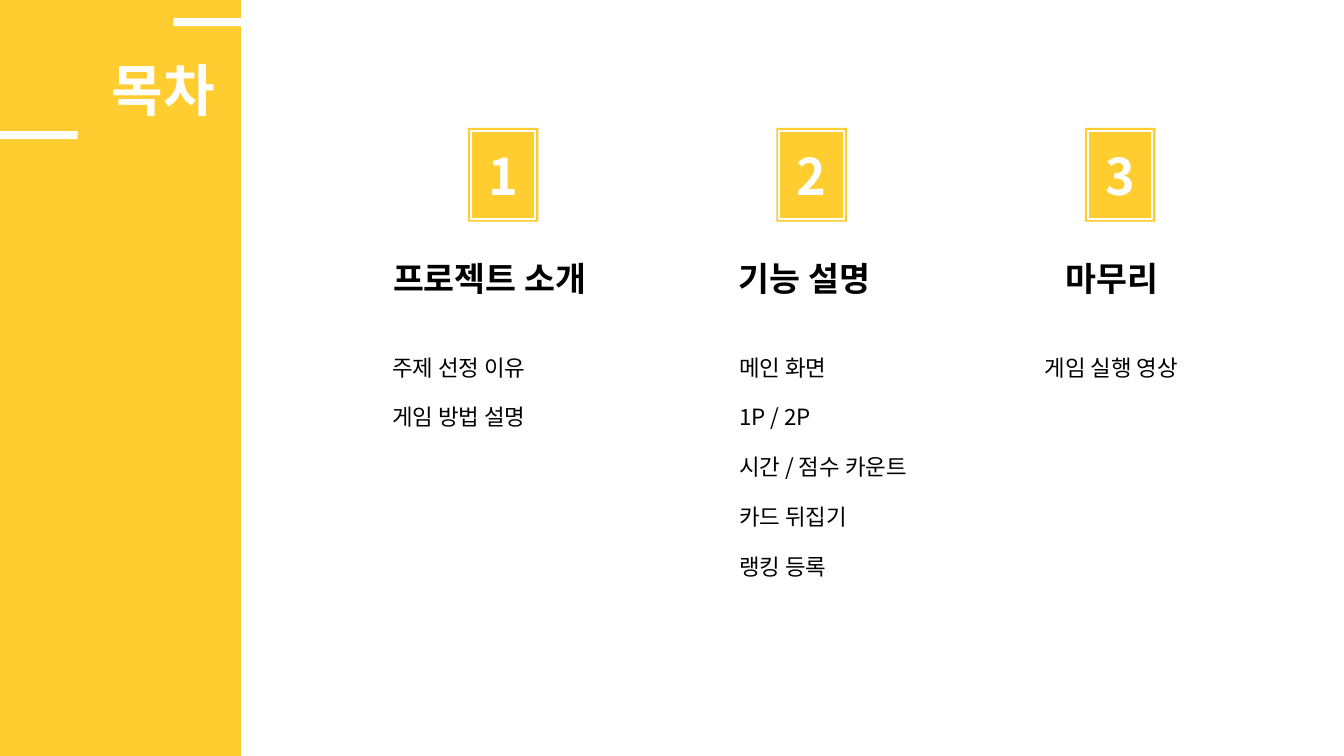
from lxml.etree import SubElement
from pptx import Presentation
from pptx.dml.color import RGBColor
from pptx.enum.shapes import MSO_SHAPE
from pptx.enum.text import MSO_ANCHOR, MSO_AUTO_SIZE, PP_ALIGN
from pptx.oxml.ns import qn
from pptx.util import Inches, Pt

YELLOW = RGBColor(0xFF, 0xCD, 0x2F)
WHITE = RGBColor(0xFF, 0xFF, 0xFF)
BLACK = RGBColor(0x00, 0x00, 0x00)
FONT = "Noto Sans CJK KR"

BADGE_LEFT, BADGE_STEP = 4.64, 3.06
SECTIONS = [
    ("프로젝트 소개", 3.8, 2.4, 3.79, 1.71, ["주제 선정 이유", "게임 방법 설명"]),
    ("기능 설명", 7.23, 1.69, 7.23, 2.1,
     ["메인 화면", "1P / 2P", "시간 / 점수 카운트", "카드 뒤집기", "랭킹 등록"]),
    ("마무리", 10.47, 1.3, 10.26, 1.71, ["게임 실행 영상"]),
]


def place(shape, left, top, width, height):
    shape.left, shape.top = Inches(left), Inches(top)
    shape.width, shape.height = Inches(width), Inches(height)


def style(paragraph, size, color, bold=False, align=PP_ALIGN.LEFT):
    paragraph.alignment = align
    font = paragraph.font
    font.size, font.bold, font.name = Pt(size), bold, FONT
    font.color.rgb = color
    SubElement(font._element, qn("a:ea"), typeface=FONT)


def add_block(slide, left, top, width, height, color):
    block = slide.shapes.add_shape(
        MSO_SHAPE.RECTANGLE, Inches(left), Inches(top), Inches(width), Inches(height))
    block.shadow.inherit = False
    block.fill.solid()
    block.fill.fore_color.rgb = color
    block.line.fill.background()
    return block


def add_badge(slide, left, number):
    add_block(slide, left, 1.27, 0.7, 0.93, YELLOW)
    frame = add_block(slide, left + 0.03, 1.3, 0.64, 0.87, YELLOW)
    frame.fill.background()
    frame.line.color.rgb = WHITE
    frame.line.width = Pt(1.5)
    text = frame.text_frame
    text.margin_left = text.margin_right = 0
    text.vertical_anchor = MSO_ANCHOR.MIDDLE
    text.text = str(number)
    style(text.paragraphs[0], 36, WHITE, True, PP_ALIGN.CENTER)


def add_heading(slide, heading, left, width):
    box = slide.shapes.add_textbox(Inches(left), Inches(2.51), Inches(width), Inches(0.5))
    box.text_frame.word_wrap = True
    box.text_frame.text = heading
    style(box.text_frame.paragraphs[0], 24, BLACK, True)


def fill_list(placeholder, items, left, width):
    place(placeholder, left, 3.46, width, 0.37 + 0.55 * (len(items) - 1))
    text = placeholder.text_frame
    text.auto_size = MSO_AUTO_SIZE.NONE
    text.word_wrap = False
    text.vertical_anchor = MSO_ANCHOR.TOP
    text.text = "\n".join(items)
    for paragraph in text.paragraphs:
        paragraph.space_before = Pt(0)
        paragraph.space_after = Pt(16.4)
        properties = paragraph._p.get_or_add_pPr()
        properties.set("marL", "0")
        properties.set("indent", "0")
        SubElement(properties, qn("a:buNone"))
        style(paragraph, 16, BLACK)


def fill_title(slide):
    title = slide.shapes.title
    slide.shapes._spTree.append(title._element)
    place(title, 1.01, 0.5, 1.32, 0.77)
    text = title.text_frame
    text.auto_size = MSO_AUTO_SIZE.NONE
    text.word_wrap = False
    text.vertical_anchor = MSO_ANCHOR.MIDDLE
    text.text = "목차"
    style(text.paragraphs[0], 40, WHITE, True)


def main():
    deck = Presentation()
    deck.slide_width, deck.slide_height = Inches(13.33), Inches(7.5)
    slide = deck.slides.add_slide(deck.slide_layouts.get_by_name("Comparison"))
    _, *lists, spare = slide.placeholders
    spare._element.getparent().remove(spare._element)

    for index, (section, placeholder) in enumerate(zip(SECTIONS, lists)):
        heading, heading_left, heading_width, list_left, list_width, items = section
        add_badge(slide, BADGE_LEFT + BADGE_STEP * index, index + 1)
        add_heading(slide, heading, heading_left, heading_width)
        fill_list(placeholder, items, list_left, list_width)

    add_block(slide, 0, 0, 2.39, 7.5, YELLOW)
    fill_title(slide)
    for left, top in [(1.72, 0.18), (-1.11, 1.3)]:
        add_block(slide, left, top, 1.88, 0.08, WHITE)

    deck.save("out.pptx")


if __name__ == "__main__":
    main()
